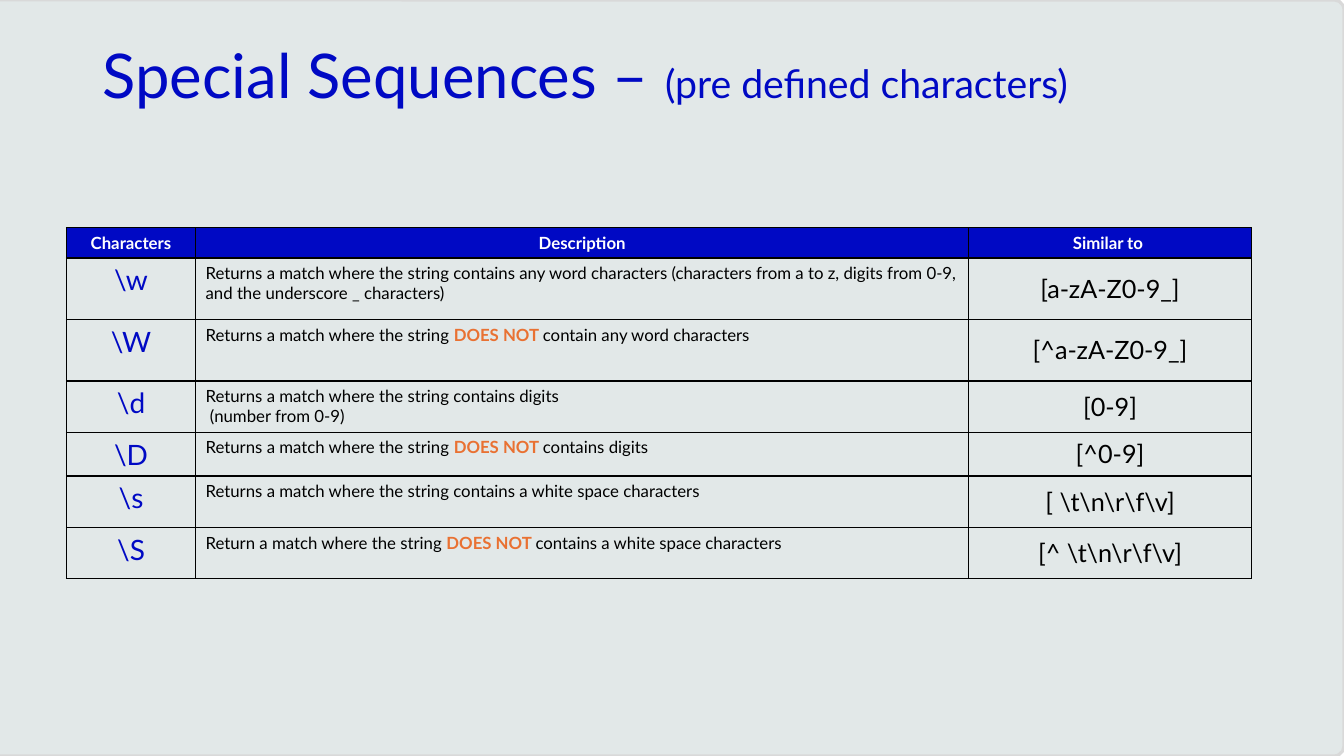
from dataclasses import dataclass

from lxml.etree import SubElement
from pptx import Presentation
from pptx.dml.color import RGBColor
from pptx.enum.shapes import MSO_SHAPE
from pptx.enum.text import MSO_ANCHOR, PP_ALIGN
from pptx.oxml.ns import qn
from pptx.util import Inches, Pt


@dataclass(frozen=True)
class Theme:
    font: str = "Lato"
    blue: str = "0009C4"
    orange: str = "E97132"
    black: str = "000000"
    white: str = "FFFFFF"
    panel: str = "E2E8E8"
    panel_edge: str = "D9D9D9"
    title_size: int = 44
    subtitle_size: int = 28
    symbol_size: int = 20
    pattern_size: int = 18
    body_size: int = 12


HEADINGS = ["Characters", "Description", "Similar to "]
# Asterisks enclose the emphasised words of a description.
SEQUENCES = [
    (r"\w", "Returns a match where the string contains any word characters "
            "(characters from a to z, digits from 0-9, and the underscore _ characters)",
     "[a-zA-Z0-9_]"),
    (r"\W", "Returns a match where the string *DOES NOT *contain any word characters",
     "[^a-zA-Z0-9_]"),
    (r"\d", "Returns a match where the string contains digits\n (number from 0-9)", "[0-9]"),
    (r"\D", "Returns a match where the string *DOES NOT *contains digits", "[^0-9]"),
    (r"\s", "Returns a match where the string contains a white space characters",
     r"[ \t\n\r\f\v]"),
    (r"\S", "Return a match where the string *DOES NOT *contains a white space characters",
     r"[^ \t\n\r\f\v]"),
]
# Shares of the slide's size, in percent.
COLUMN_SHARES = [9.6, 57.54, 21.01]
ROW_SHARES = [4, 8.13, 8.13, 6.8, 5.73, 6.8, 6.8]


def color(value):
    return RGBColor.from_string(value)


def add_span(para, text, *, font, size, fill, bold=False):
    span = para.add_run()
    span.text = text
    span.font.name = font
    span.font.size = Pt(size)
    span.font.bold = bold
    span.font.color.rgb = color(fill)


def set_borders(cell, line_color, points=1):
    properties = cell._tc.get_or_add_tcPr()
    for index, side in enumerate(("lnL", "lnR", "lnT", "lnB")):
        line = SubElement(properties, qn(f"a:{side}"), w=str(Pt(points)))
        SubElement(SubElement(line, qn("a:solidFill")), qn("a:srgbClr"), val=line_color)
        properties.insert(index, line)


class SlideBuilder:
    def __init__(self, deck, theme):
        self.deck = deck
        self.theme = theme
        self.page = deck.slides.add_slide(deck.slide_layouts[6])

    def across(self, percent):
        return round(self.deck.slide_width * percent / 100)

    def down(self, percent):
        return round(self.deck.slide_height * percent / 100)

    def area(self, left, top, width, height):
        return self.across(left), self.down(top), self.across(width), self.down(height)

    def panel(self, *shares):
        shape = self.page.shapes.add_shape(MSO_SHAPE.ROUNDED_RECTANGLE, *self.area(*shares))
        shape.shadow.inherit = False
        shape.adjustments[0] = 0.013
        shape.fill.solid()
        shape.fill.fore_color.rgb = color(self.theme.panel)
        shape.line.color.rgb = color(self.theme.panel_edge)
        shape.line.width = Pt(2.25)

    def title(self, text, subtitle, *shares):
        theme = self.theme
        frame = self.page.shapes.add_textbox(*self.area(*shares)).text_frame
        frame.word_wrap = True
        para = frame.paragraphs[0]
        para.line_spacing = 0.9
        for words, size in ((text, theme.title_size), (subtitle, theme.subtitle_size)):
            add_span(para, words, font=theme.font, size=size, fill=theme.blue)

    def cell(self, cell, text, *, size, fill, bold=False, background=None,
             align=PP_ALIGN.CENTER, anchor=MSO_ANCHOR.TOP):
        if background:
            cell.fill.solid()
            cell.fill.fore_color.rgb = color(background)
        else:
            cell.fill.background()
        cell.vertical_anchor = anchor
        set_borders(cell, self.theme.black)
        frame = cell.text_frame
        for number, line in enumerate(text.split("\n")):
            para = frame.add_paragraph() if number else frame.paragraphs[0]
            para.alignment = align
            for position, words in enumerate(line.split("*")):
                strong = position % 2 == 1
                add_span(para, words, font=self.theme.font, size=size,
                         fill=self.theme.orange if strong else fill, bold=bold or strong)

    def table(self, left, top, headings, records):
        theme = self.theme
        area = self.area(left, top, sum(COLUMN_SHARES), sum(ROW_SHARES))
        table = self.page.shapes.add_table(len(ROW_SHARES), len(COLUMN_SHARES), *area).table
        table.first_row = table.horz_banding = False
        for column, share in zip(table.columns, COLUMN_SHARES):
            column.width = self.across(share)
        for row, share in zip(table.rows, ROW_SHARES):
            row.height = self.down(share)
        heading = dict(size=theme.body_size, fill=theme.white, bold=True, background=theme.blue)
        body = [
            dict(size=theme.symbol_size, fill=theme.blue),
            dict(size=theme.body_size, fill=theme.black, align=PP_ALIGN.LEFT),
            dict(size=theme.pattern_size, fill=theme.black, anchor=MSO_ANCHOR.MIDDLE),
        ]
        for row, texts in enumerate([headings, *records]):
            for column, text in enumerate(texts):
                style = body[column] if row else heading
                self.cell(table.cell(row, column), text, **style)


def main():
    deck = Presentation()
    deck.slide_width, deck.slide_height = Inches(13.33), Inches(7.5)
    builder = SlideBuilder(deck, Theme())
    builder.panel(-0.9, 0, 100.9, 100)
    builder.title("Special Sequences – ", "(pre defined characters)", 6.9, 5.33, 86.27, 19.33)
    builder.table(4.95, 30.13, HEADINGS, SEQUENCES)
    deck.save("out.pptx")


if __name__ == "__main__":
    main()
